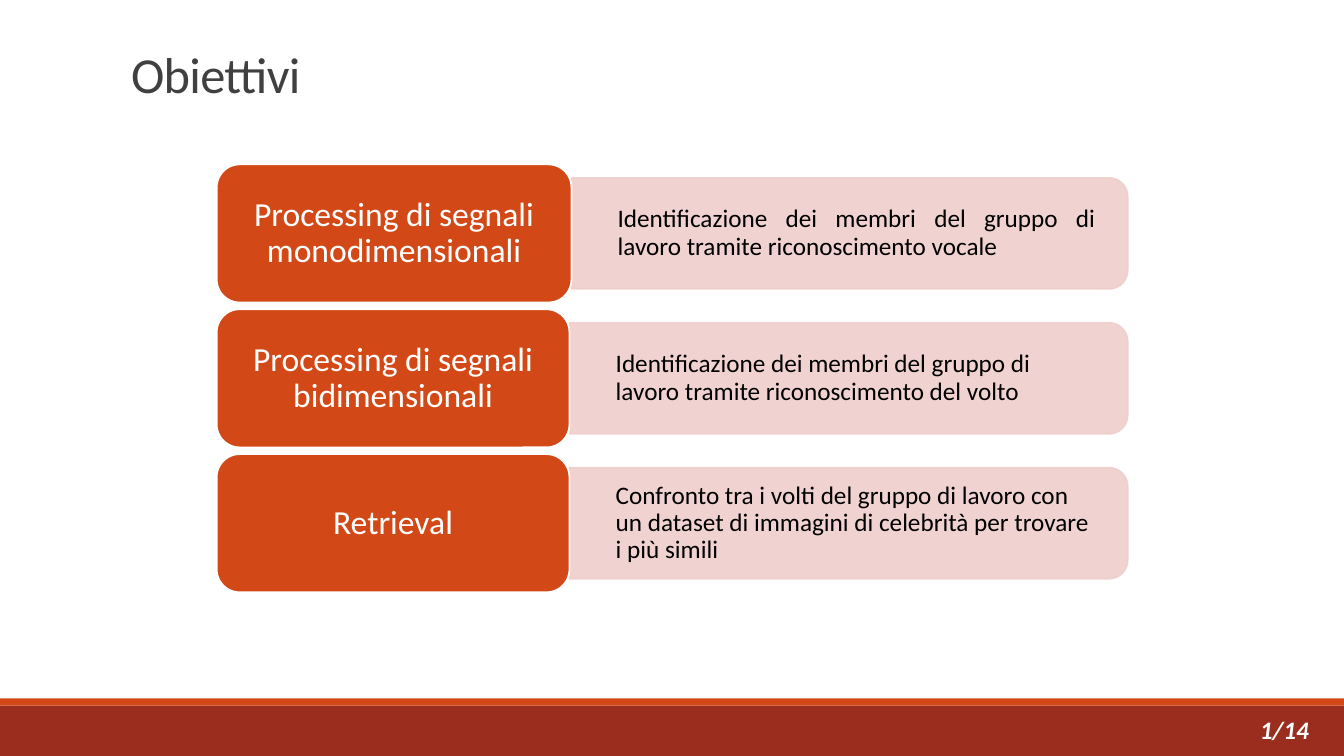
import math

import lxml.etree
import pptx
import pptx.dml.color
import pptx.enum.shapes
import pptx.enum.text
import pptx.oxml.ns
import pptx.util

Pt = pptx.util.Pt
RGBColor = pptx.dml.color.RGBColor
Align = pptx.enum.text.PP_ALIGN
Anchor = pptx.enum.text.MSO_ANCHOR
Shape = pptx.enum.shapes.MSO_SHAPE

ORANGE = RGBColor(0xD3, 0x48, 0x17)
DARK_RED = RGBColor(0x9B, 0x2D, 0x1F)
PINK = RGBColor(0xEF, 0xCF, 0xCC)
WHITE = RGBColor(0xFF, 0xFF, 0xFF)
BLACK = RGBColor(0, 0, 0)
GREY = RGBColor(0x40, 0x40, 0x40)

GOALS = [
    ("Processing di segnali monodimensionali",
     "Identificazione dei membri del gruppo di lavoro tramite riconoscimento vocale",
     253.4, Align.JUSTIFY),
    ("Processing di segnali bidimensionali",
     "Identificazione dei membri del gruppo di lavoro tramite riconoscimento del volto",
     252, Align.LEFT),
    ("Retrieval",
     "Confronto tra i volti del gruppo di lavoro con un dataset di immagini "
     "di celebrità per trovare i più simili",
     252, Align.LEFT),
]
CARD_LEFT, CARD_TOP, CARD_HEIGHT, ROW_PITCH = 154.8, 117.4, 98.7, 103.5
PANEL_RIGHT, PANEL_HEIGHT, PANEL_RADIUS = 805.5, 79.2, 13.2


def write(shape, text, size, color, align, anchor, insets, spacing=0.9):
    """Fill a shape with one paragraph; insets are left, top, right, bottom."""
    frame = shape.text_frame
    frame.text = text
    frame.word_wrap = True
    frame.auto_size = pptx.enum.text.MSO_AUTO_SIZE.NONE
    frame.vertical_anchor = anchor
    frame.margin_left, frame.margin_top, frame.margin_right, frame.margin_bottom = map(Pt, insets)
    para = frame.paragraphs[0]
    para.alignment = align
    para.line_spacing = spacing
    font = para.runs[0].font
    font.name, font.size, font.color.rgb = "Calibri", Pt(size), color
    return font


def paint(shape, fill, line=None):
    shape.shadow.inherit = False
    shape.fill.solid()
    shape.fill.fore_color.rgb = fill
    if line is None:
        shape.line.fill.background()
    else:
        shape.line.color.rgb = line
        shape.line.width = Pt(1.25)


deck = pptx.Presentation()
deck.slide_width, deck.slide_height = Pt(960), Pt(540)
slide = deck.slides.add_slide(deck.slide_layouts[5])
shapes = slide.shapes

for top, height, color in [(504, 36, DARK_RED), (498.8, 5.2, ORANGE)]:
    bar = shapes.add_shape(Shape.RECTANGLE, 0, Pt(top), Pt(960), Pt(height))
    paint(bar, color)

title = shapes.title
title.left, title.top, title.width, title.height = Pt(86.4), Pt(22.3), Pt(792), Pt(55.4)
title_font = write(title, "Obiettivi", 36, GREY, Align.LEFT, Anchor.BOTTOM,
                   (7.2, 3.6, 7.2, 3.6), 0.85)
title_font._element.set("spc", "-50")

for row, (heading, goal, card_width, align) in enumerate(GOALS):
    card_top = CARD_TOP + row * ROW_PITCH
    panel_left = CARD_LEFT + card_width
    panel_top = card_top + (CARD_HEIGHT - PANEL_HEIGHT) / 2
    panel_bottom = panel_top + PANEL_HEIGHT

    # Square on the left, rounded on the right
    outline = []
    for center_y, first_angle in [(panel_top + PANEL_RADIUS, -90),
                                  (panel_bottom - PANEL_RADIUS, 0)]:
        for angle in range(first_angle, first_angle + 91, 10):
            turn = math.radians(angle)
            outline.append((
                Pt(PANEL_RIGHT - PANEL_RADIUS + PANEL_RADIUS * math.cos(turn)),
                Pt(center_y + PANEL_RADIUS * math.sin(turn))))
    outline.append((Pt(panel_left), Pt(panel_bottom)))
    builder = shapes.build_freeform(Pt(panel_left), Pt(panel_top))
    builder.add_line_segments(outline, close=True)
    panel = builder.convert_to_shape()
    paint(panel, PINK, PINK)
    for color in panel._element.spPr.iter(pptx.oxml.ns.qn("a:srgbClr")):
        lxml.etree.SubElement(color, pptx.oxml.ns.qn("a:alpha"), val="90000")
    write(panel, goal, 18, BLACK, align, Anchor.MIDDLE, (33, 13.7, 23, 13.7))

    card = shapes.add_shape(Shape.ROUNDED_RECTANGLE, Pt(CARD_LEFT), Pt(card_top),
                            Pt(card_width), Pt(CARD_HEIGHT))
    paint(card, ORANGE, WHITE)
    write(card, heading, 24, WHITE, Align.CENTER, Anchor.MIDDLE, (7.4, 3.8, 7.4, 3.8))

page_number = shapes.add_textbox(Pt(892.8), Pt(507), Pt(50.4), Pt(29))
number_font = write(page_number, "1/14", 18, WHITE, Align.LEFT, Anchor.TOP,
                    (7.2, 3.6, 7.2, 3.6), 1.0)
number_font.bold = number_font.italic = True
page_number.text_frame.word_wrap = False

deck.save("out.pptx")
